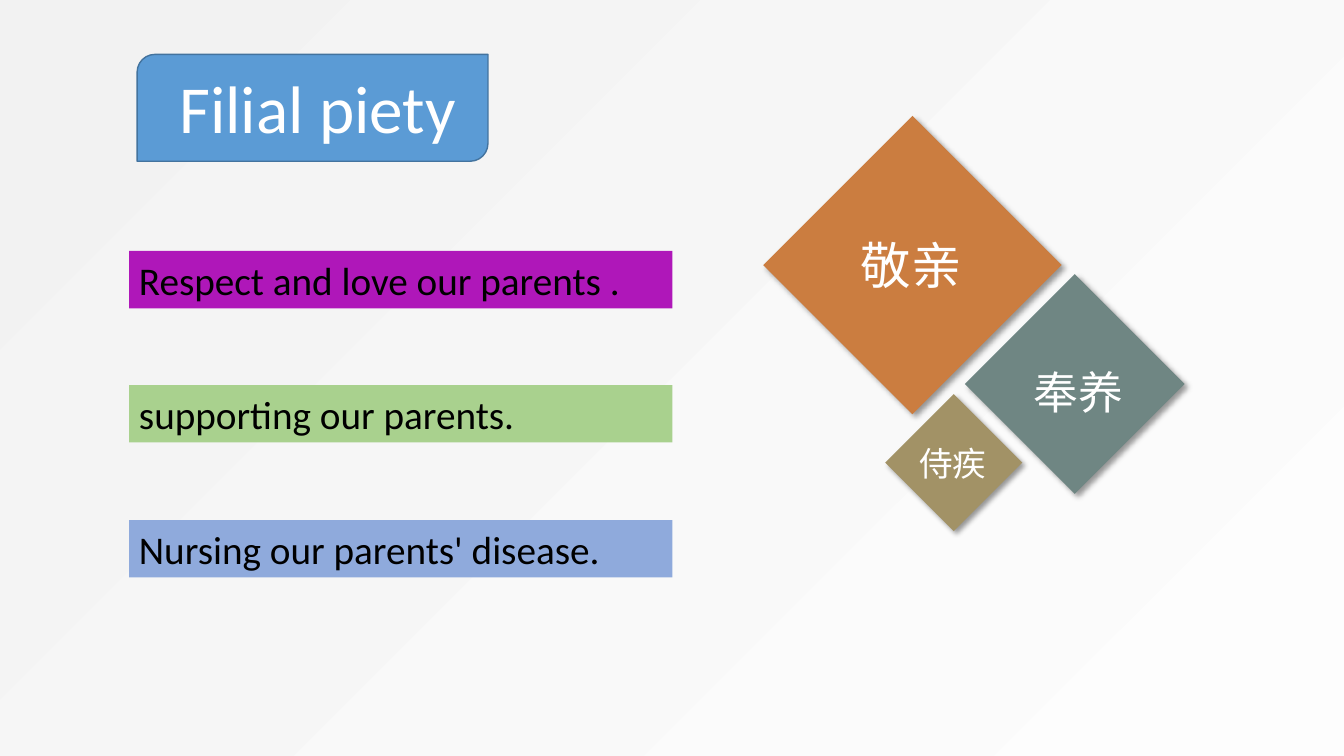
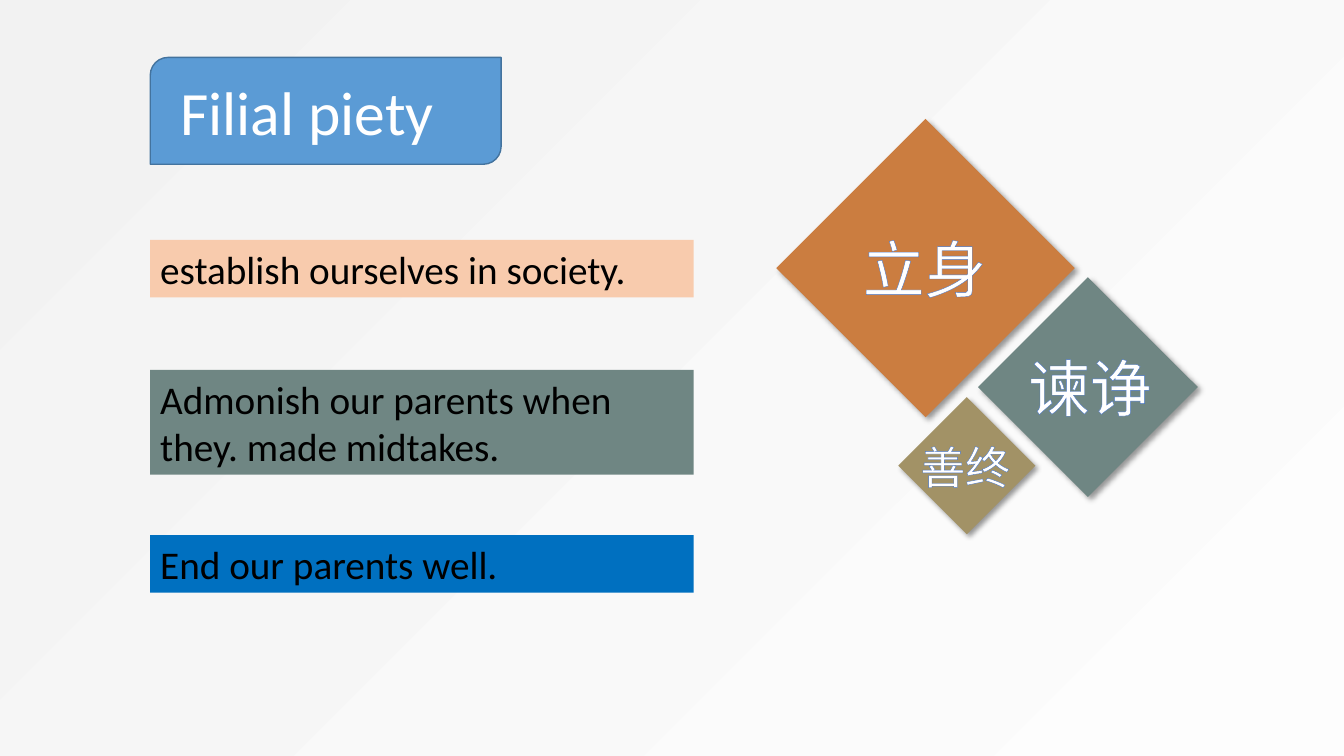
from lxml import etree
from pptx import Presentation
from pptx.dml.color import RGBColor
from pptx.enum.shapes import MSO_SHAPE
from pptx.enum.text import MSO_ANCHOR, MSO_AUTO_SIZE
from pptx.oxml import parse_xml
from pptx.oxml.ns import nsdecls, qn
from pptx.util import Inches, Pt

DIAMOND = MSO_SHAPE.DIAMOND
TITLE_PLATE = MSO_SHAPE.ROUND_2_DIAG_RECTANGLE
TOP = MSO_ANCHOR.TOP
GROW = MSO_AUTO_SIZE.SHAPE_TO_FIT_TEXT

WHITE = RGBColor(0xFF, 0xFF, 0xFF)
BLACK = RGBColor(0x00, 0x00, 0x00)
PAPER_LIGHT = RGBColor(0xFD, 0xFD, 0xFD)
PAPER_SHADE = RGBColor(0xF2, 0xF2, 0xF2)
TITLE_BLUE = RGBColor(0x5B, 0x9B, 0xD5)
TITLE_EDGE = RGBColor(0x43, 0x73, 0x9E)
LABEL_EDGE = RGBColor(0x44, 0x72, 0xC4)
ORANGE = RGBColor(0xCB, 0x7D, 0x40)
TEAL = RGBColor(0x6F, 0x86, 0x83)
OLIVE = RGBColor(0xA2, 0x92, 0x66)
PURPLE = RGBColor(0xAF, 0x17, 0xB9)
GREEN = RGBColor(0xA9, 0xD1, 0x8E)
PERIWINKLE = RGBColor(0x8F, 0xAA, 0xDC)
PEACH = RGBColor(0xF8, 0xCB, 0xAD)
BLUE = RGBColor(0x00, 0x70, 0xC0)

FONT = "Calibri"
BAR_WIDTH = 5.39
BAR_TEXT_SIZE = 28

# left, top, side, colour
DIAMONDS = [
    (7.57, 1.15, 2.96, ORANGE),
    (9.57, 2.72, 2.18, TEAL),
    (8.78, 3.91, 1.36, OLIVE),
]

# shift moves the title plate and the diamonds
# title: left, top, width, height, size
# bars: top, height, colour, text
# labels: left, top, width, height, size, text
SLIDES = [
    {
        "shift": (0, 0),
        "title": (1.68, 0.61, 3.52, 0.91, 48),
        "bar_left": 1.28,
        "bars": [
            (2.49, 0.57, PURPLE, "Respect and love our parents ."),
            (3.82, 0.57, GREEN, "supporting our parents."),
            (5.16, 0.57, PERIWINKLE, "Nursing our parents' disease."),
        ],
        "label_edge": None,
        "labels": [
            (8.44, 2.27, 2.27, 0.71, 36, "敬亲"),
            (10.15, 3.57, 1.59, 0.64, 32, "奉养"),
            (9.02, 4.34, 1.22, 0.5, 24, "侍疾"),
        ],
    },
    {
        "shift": (0.13, 0.03),
        "title": (1.69, 0.68, 3.48, 0.84, 44),
        "bar_left": 1.49,
        "bars": [
            (2.38, 0.57, PEACH, "establish ourselves in society."),
            (3.67, 1.04, TEAL, "Admonish our parents when they. made midtakes."),
            (5.31, 0.57, BLUE, "End our parents well."),
        ],
        "label_edge": LABEL_EDGE,
        "labels": [
            (8.46, 2.24, 2.75, 0.84, 44, "立身"),
            (10.1, 3.42, 2.1, 0.84, 44, "谏诤"),
            (9.03, 4.31, 2.75, 0.64, 32, "善终"),
        ],
    },
]


def set_background(master):
    """Give every slide a radial gradient that is lightest at bottom right."""
    fill = master.background.fill
    fill.gradient()
    for stop, colour in zip(fill.gradient_stops, (PAPER_LIGHT, PAPER_SHADE)):
        stop.color.rgb = colour
    gradient = master.element.xpath(".//p:bg//a:gradFill")[0]
    gradient.remove(gradient.find(qn("a:lin")))
    radial = etree.SubElement(gradient, qn("a:path"), path="circle")
    etree.SubElement(radial, qn("a:fillToRect"), l="100000", t="100000")


def add_shadow(shape):
    shape.shadow.inherit = False
    effects = shape.element.spPr.find(qn("a:effectLst"))
    effects.append(parse_xml(
        f'<a:outerShdw {nsdecls("a")} blurRad="{Pt(4)}" dist="{Pt(3)}"'
        ' dir="2700000" algn="tl" rotWithShape="0">'
        '<a:srgbClr val="000000"><a:alpha val="40000"/></a:srgbClr>'
        '</a:outerShdw>'))


def outline_text(run, colour):
    properties = run.font._element
    properties.insert(0, parse_xml(
        f'<a:ln {nsdecls("a")} w="{Pt(0.8)}"><a:solidFill>'
        f'<a:srgbClr val="{colour}"/></a:solidFill></a:ln>'))


def add_text(slide, box, text, size, colour, fill=None, edge=None):
    textbox = slide.shapes.add_textbox(*map(Inches, box))
    if fill is not None:
        textbox.fill.solid()
        textbox.fill.fore_color.rgb = fill
    frame_format = {"word_wrap": True, "auto_size": GROW, "vertical_anchor": TOP}
    for name, value in frame_format.items():
        setattr(textbox.text_frame, name, value)
    run = textbox.text_frame.paragraphs[0].add_run()
    run.text = text
    for name, value in {"name": FONT, "size": Pt(size)}.items():
        setattr(run.font, name, value)
    run.font.color.rgb = colour
    if edge is not None:
        outline_text(run, edge)


def add_plain_shape(slide, kind, box, colour):
    shape = slide.shapes.add_shape(kind, *map(Inches, box))
    shape.shadow.inherit = False
    shape.fill.solid()
    shape.fill.fore_color.rgb = colour
    shape.line.fill.background()
    return shape


def add_diamonds(slide, dx, dy):
    for left, top, side, colour in DIAMONDS:
        box = (left + dx, top + dy, side, side)
        add_shadow(add_plain_shape(slide, DIAMOND, box, colour))


def add_title(slide, dx, dy, title):
    box = (1.36 + dx, 0.54 + dy, 3.48, 1.06)
    plate = add_plain_shape(slide, TITLE_PLATE, box, TITLE_BLUE)
    plate.line.color.rgb = TITLE_EDGE
    plate.line.width = Pt(1)
    *text_box, size = title
    add_text(slide, text_box, "Filial piety", size, WHITE)


def build_slide(prs, content):
    slide = prs.slides.add_slide(prs.slide_layouts[6])
    add_diamonds(slide, *content["shift"])
    add_title(slide, *content["shift"], content["title"])
    for top, height, colour, text in content["bars"]:
        box = (content["bar_left"], top, BAR_WIDTH, height)
        add_text(slide, box, text, BAR_TEXT_SIZE, BLACK, fill=colour)
    for *box, size, text in content["labels"]:
        add_text(slide, box, text, size, WHITE, edge=content["label_edge"])


def main():
    prs = Presentation()
    prs.slide_width = Inches(13.33)
    prs.slide_height = Inches(7.5)
    set_background(prs.slide_master)
    for content in SLIDES:
        build_slide(prs, content)
    prs.save("out.pptx")


if __name__ == "__main__":
    main()
